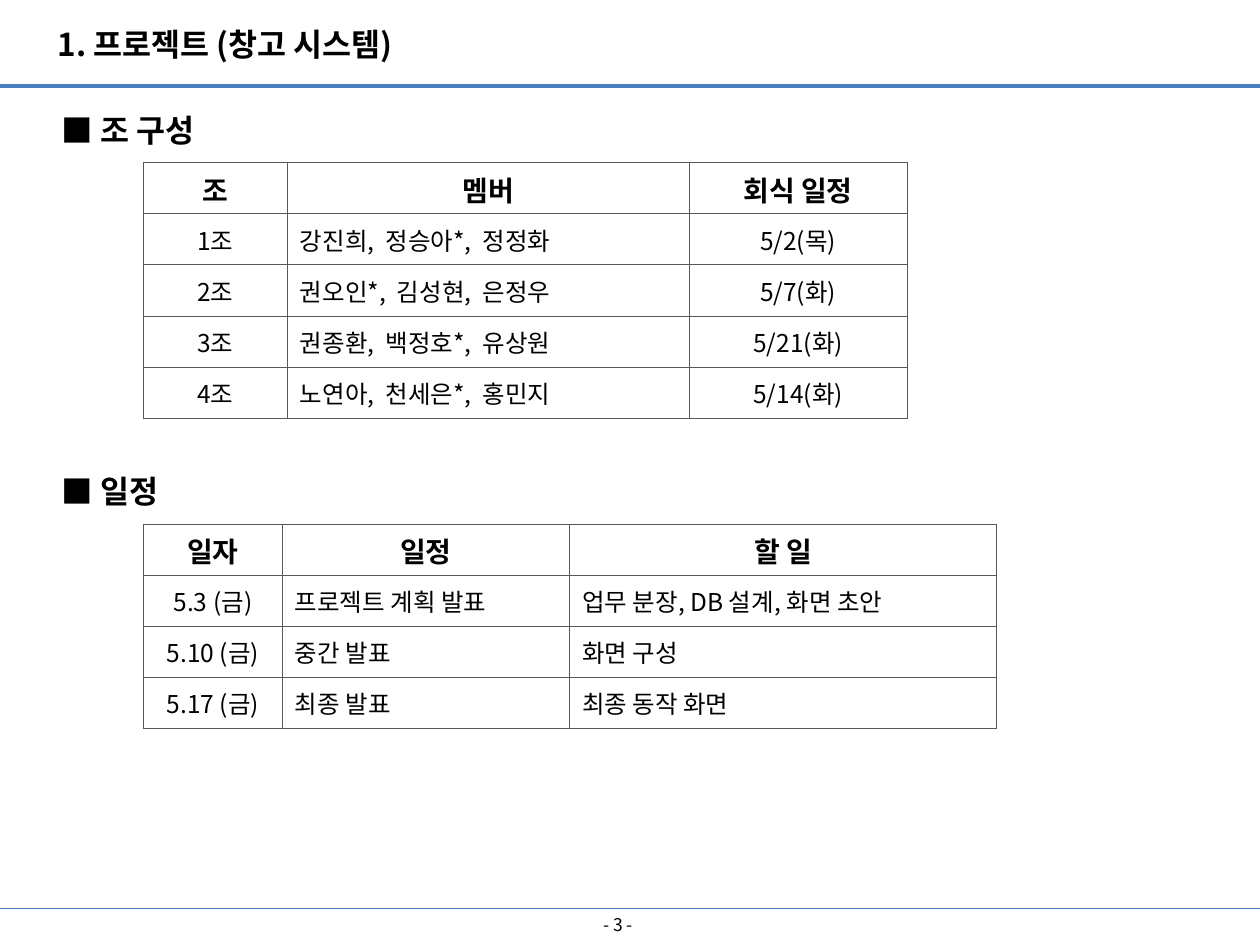
from dataclasses import dataclass

import pptx
import pptx.dml.color
import pptx.enum.shapes
import pptx.enum.text
import pptx.oxml
import pptx.oxml.ns
import pptx.util
from lxml import etree
from pptx.util import Inches

KOREAN_FONT = "Noto Sans CJK KR"
HEADING_FONT = "Arial"
BLACK = "000000"
RULE_BLUE = "4B7EBC"
BORDER_GRAY = "595959"
CENTER = pptx.enum.text.PP_ALIGN.CENTER
LEFT = pptx.enum.text.PP_ALIGN.LEFT
MIDDLE = pptx.enum.text.MSO_ANCHOR.MIDDLE
TOP = pptx.enum.text.MSO_ANCHOR.TOP


@dataclass
class Label:
    text: str
    left: float
    top: float
    width: float
    height: float
    size: float = 18
    bold: bool = True
    font: str = KOREAN_FONT
    align: int = LEFT
    anchor: int = TOP
    spacing: float = 1.0
    wrap: bool = False


@dataclass
class Grid:
    left: float
    top: float
    height: float
    widths: list[float]
    aligns: list[int]
    rows: list[list[str]]


def color(value: str) -> pptx.dml.color.RGBColor:
    return pptx.dml.color.RGBColor.from_string(value)


def format_text(frame, size: float, bold: bool, align: int, font: str = KOREAN_FONT) -> None:
    for paragraph in frame.paragraphs:
        paragraph.alignment = align
        for run in paragraph.runs:
            run.font.size = pptx.util.Pt(size)
            run.font.bold = bold
            run.font.name = font
            run.font.color.rgb = color(BLACK)
            east_asian = etree.SubElement(run.font._element, pptx.oxml.ns.qn("a:ea"))
            east_asian.set("typeface", KOREAN_FONT)


def draw_rule(slide, top: float, weight: float) -> None:
    rule = slide.shapes.add_connector(
        pptx.enum.shapes.MSO_CONNECTOR.STRAIGHT, 0, Inches(top), Inches(10), Inches(top)
    )
    rule.line.color.rgb = color(RULE_BLUE)
    rule.line.width = pptx.util.Pt(weight)
    etree.SubElement(rule._element.spPr, pptx.oxml.ns.qn("a:effectLst"))


def draw_label(slide, label: Label) -> None:
    box = slide.shapes.add_textbox(
        Inches(label.left), Inches(label.top), Inches(label.width), Inches(label.height)
    )
    frame = box.text_frame
    frame.text = label.text
    frame.word_wrap = label.wrap
    frame.vertical_anchor = label.anchor
    frame.paragraphs[0].line_spacing = label.spacing
    format_text(frame, label.size, label.bold, label.align, label.font)


def outline_cell(cell) -> None:
    properties = cell._tc.get_or_add_tcPr()
    for side in ("lnL", "lnR", "lnT", "lnB"):
        properties.append(pptx.oxml.parse_xml(
            f'<a:{side} {pptx.oxml.ns.nsdecls("a")} w="{pptx.util.Pt(0.5)}">'
            f'<a:solidFill><a:srgbClr val="{BORDER_GRAY}"/></a:solidFill></a:{side}>'
        ))


def draw_grid(slide, grid: Grid) -> None:
    table = slide.shapes.add_table(
        len(grid.rows), len(grid.widths), Inches(grid.left), Inches(grid.top),
        Inches(sum(grid.widths)), Inches(grid.height),
    ).table
    table.first_row = False
    table.horz_banding = False
    for column, width in zip(table.columns, grid.widths):
        column.width = Inches(width)
    for r, row in enumerate(grid.rows):
        header = r == 0
        for c, text in enumerate(row):
            cell = table.cell(r, c)
            cell.text = text
            cell.vertical_anchor = TOP if header else MIDDLE
            outline_cell(cell)
            cell.fill.background()
            format_text(cell.text_frame, 16 if header else 14, header,
                        CENTER if header else grid.aligns[c])


LABELS = [
    Label("1. 프로젝트 (창고 시스템)", 0.36, 0.15, 3.14, 0.4),
    Label("- 3 -", 3.74, 7.21, 2.33, 0.26, size=10, bold=False,
          align=CENTER, anchor=MIDDLE, wrap=True),
    Label("■ 조 구성", 0.39, 0.68, 1.39, 0.56, font=HEADING_FONT, spacing=1.5),
    Label("■ 일정", 0.39, 3.55, 1.05, 0.51, font=HEADING_FONT, spacing=1.5),
]

TEAMS = Grid(1.14, 1.29, 2.03, [1.14, 3.19, 1.73], [CENTER, LEFT, CENTER], [
    ["조", "멤버", "회식 일정"],
    ["1조", "강진희,  정승아*,  정정화", "5/2(목)"],
    ["2조", "권오인*,  김성현,  은정우", "5/7(화)"],
    ["3조", "권종환,  백정호*,  유상원", "5/21(화)"],
    ["4조", "노연아,  천세은*,  홍민지", "5/14(화)"],
])

SCHEDULE = Grid(1.14, 4.16, 1.62, [1.1, 2.28, 3.39], [CENTER, LEFT, LEFT], [
    ["일자", "일정", "할 일"],
    ["5.3 (금)", "프로젝트 계획 발표", "업무 분장, DB 설계, 화면 초안"],
    ["5.10 (금)", "중간 발표", "화면 구성"],
    ["5.17 (금)", "최종 발표", "최종 동작 화면"],
])


def main() -> None:
    deck = pptx.Presentation()
    deck.slide_width = Inches(10)
    deck.slide_height = Inches(7.5)
    slide = deck.slides.add_slide(deck.slide_layouts[6])

    # Header and footer rules
    draw_rule(slide, 0.68, 2.25)
    draw_rule(slide, 7.21, 0.75)

    # Title, page number and section headings
    for label in LABELS:
        draw_label(slide, label)

    # Team and schedule tables
    for grid in (TEAMS, SCHEDULE):
        draw_grid(slide, grid)

    deck.save("out.pptx")


if __name__ == "__main__":
    main()
